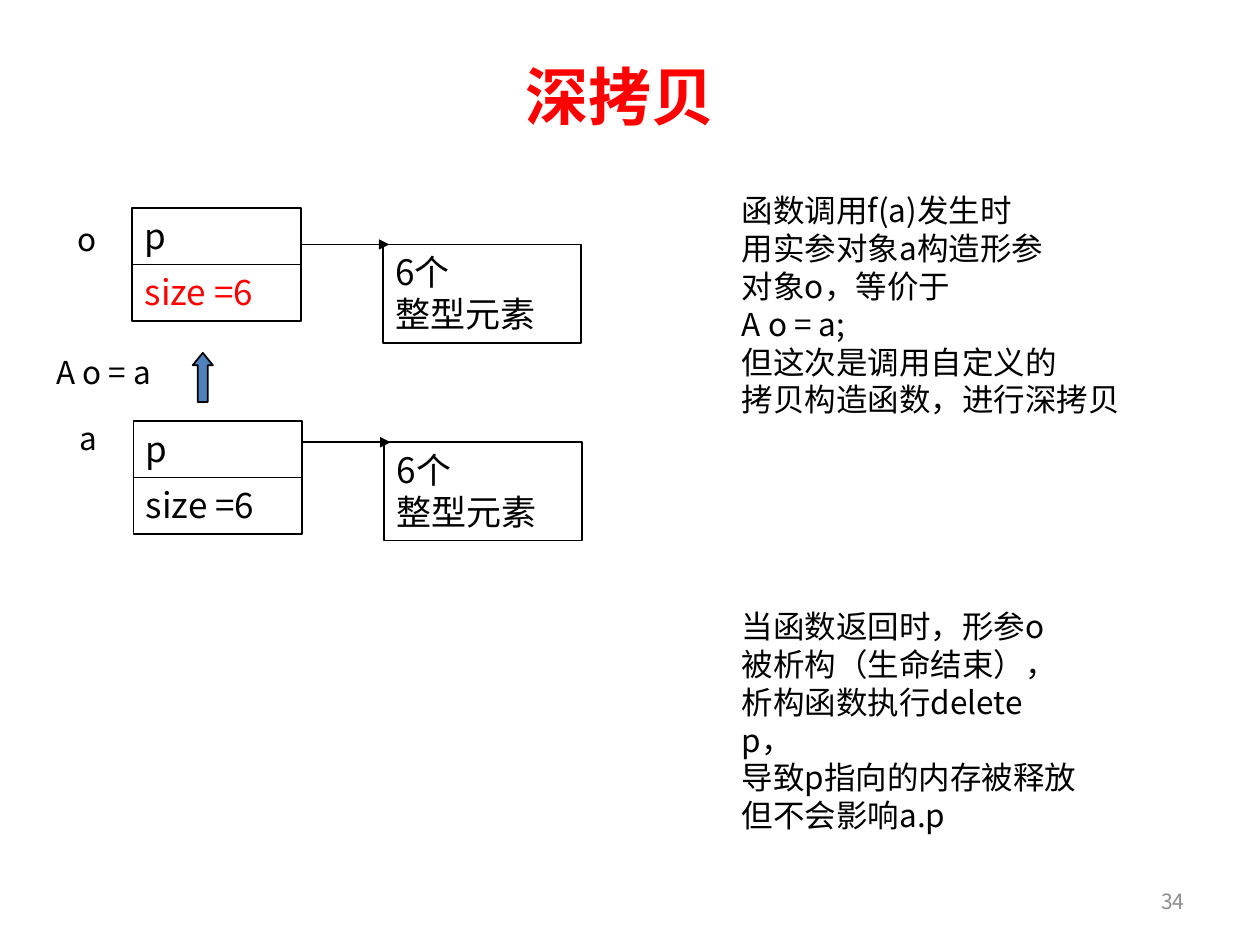
from lxml.etree import SubElement
from pptx import Presentation
from pptx.dml.color import RGBColor
from pptx.enum.shapes import MSO_CONNECTOR as CONN, MSO_SHAPE as SHAPE
from pptx.enum.text import MSO_ANCHOR as ANCHOR, PP_ALIGN as ALIGN
from pptx.oxml.ns import qn
from pptx.util import Inches, Pt

COLORS = {"black": "000000", "red": "FF0000", "gray": "8C8C8C", "blue": "4F81BD"}
BODY_FONT, TITLE_FONT = "Noto Sans CJK JP", "Noto Sans CJK SC"
LINE_PITCH = 1.2
CELL_W, CELL_H = 1.34, 0.45
ARRAY_W, ARRAY_H = 1.57, 0.78

TITLE = "深拷贝"
ARRAY_LINES = ["6个", "整型元素"]
# object left, object top, array left, array top, size colour
OBJECTS = [
    (1.05, 1.65, 3.04, 1.94, "red"),
    (1.06, 3.34, 3.05, 3.51, "black"),
]
# lines, left, top, width, height, wrap
NOTES = [
    (["o"], 0.52, 1.7, 0.35, 0.4, False),
    (["a"], 0.53, 3.28, 0.33, 0.4, False),
    (["A o = a"], 0.35, 2.75, 1.04, 0.4, False),
    (["函数调用f(a)发生时", "用实参对象a构造形参", "对象o，等价于", "A o = a;",
      "但这次是调用自定义的", "拷贝构造函数，进行深拷贝"], 5.79, 1.47, 3.23, 2.22, False),
    (["当函数返回时，形参o", "被析构（生命结束），", "析构函数执行delete p，",
      "导致p指向的内存被释放", "但不会影响a.p"], 5.79, 4.77, 2.87, 1.62, True),
]


def rgb(name):
    return RGBColor.from_string(COLORS[name])


def write(tf, lines, size, color="black", font=BODY_FONT, align=ALIGN.LEFT,
          anchor=ANCHOR.TOP, wrap=True, bold=False, pitch=True):
    tf.word_wrap = wrap
    tf.vertical_anchor = anchor
    for i, line in enumerate(lines):
        p = tf.paragraphs[0] if i == 0 else tf.add_paragraph()
        p.alignment = align
        if pitch:
            p.line_spacing = Pt(size * LINE_PITCH)
        r = p.add_run()
        r.text = line
        r.font.size = Pt(size)
        r.font.bold = bold
        r.font.name = font
        r.font.color.rgb = rgb(color)
        SubElement(r.font._element, qn("a:ea")).set("typeface", font)


def add_text(s, lines, left, top, width, height, size=18, **style):
    box = s.shapes.add_textbox(*map(Inches, (left, top, width, height)))
    write(box.text_frame, lines, size, **style)


def add_outlined(s, kind, left, top, width, height, fill=None):
    sp = s.shapes.add_shape(kind, *map(Inches, (left, top, width, height)))
    sp.shadow.inherit = False
    if fill:
        sp.fill.solid()
        sp.fill.fore_color.rgb = rgb(fill)
    else:
        sp.fill.background()
    sp.line.color.rgb = rgb("black")
    sp.line.width = Pt(1)
    return sp


def add_box(s, lines, left, top, width, height, color="black"):
    sp = add_outlined(s, SHAPE.RECTANGLE, left, top, width, height)
    write(sp.text_frame, lines, 20, color)


def add_pointer(s, x1, x2, y):
    line = s.shapes.add_connector(CONN.STRAIGHT, *map(Inches, (x1, y, x2, y)))
    line.line.color.rgb = rgb("black")
    line.line.width = Pt(1)
    SubElement(line.line._get_or_add_ln(), qn("a:tailEnd")).set("type", "triangle")
    SubElement(line._element.spPr, qn("a:effectLst"))


def add_object(s, left, top, array_left, array_top, size_color):
    """Draw an object's two members and the array its pointer refers to."""
    add_box(s, ["p"], left, top, CELL_W, CELL_H)
    add_box(s, ["size =6"], left, top + CELL_H, CELL_W, CELL_H, size_color)
    add_box(s, ARRAY_LINES, array_left, array_top, ARRAY_W, ARRAY_H)
    add_pointer(s, left + CELL_W, array_left + 0.05, array_top)


def main():
    prs = Presentation()
    prs.slide_width, prs.slide_height = Inches(10), Inches(7.5)
    s = prs.slides.add_slide(prs.slide_layouts[5])

    title = s.shapes.title
    title.left, title.top, title.width, title.height = map(Inches, (0.67, 0.36, 8.5, 0.8))
    write(title.text_frame, [TITLE], 36, "red", TITLE_FONT, ALIGN.CENTER,
          ANCHOR.MIDDLE, bold=True, pitch=False)

    for obj in OBJECTS:
        add_object(s, *obj)
    for lines, left, top, width, height, wrap in NOTES:
        add_text(s, lines, left, top, width, height, wrap=wrap)

    arrow = add_outlined(s, SHAPE.UP_ARROW, 1.53, 2.8, 0.16, 0.39, "blue")
    arrow.adjustments[0], arrow.adjustments[1] = 0.5, 0.62

    add_text(s, ["34"], 7.17, 6.95, 2.33, 0.4, size=12, color="gray",
             align=ALIGN.RIGHT, anchor=ANCHOR.MIDDLE)
    prs.save("out.pptx")


if __name__ == "__main__":
    main()
